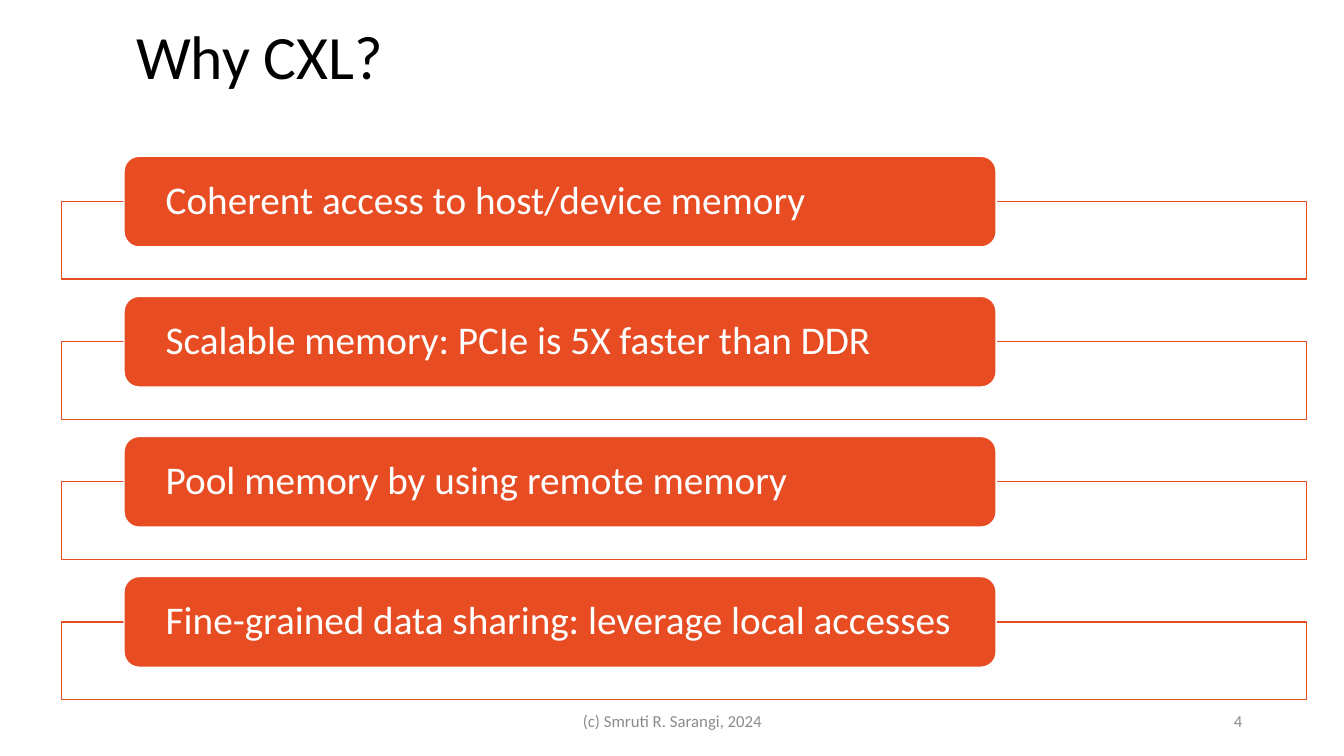
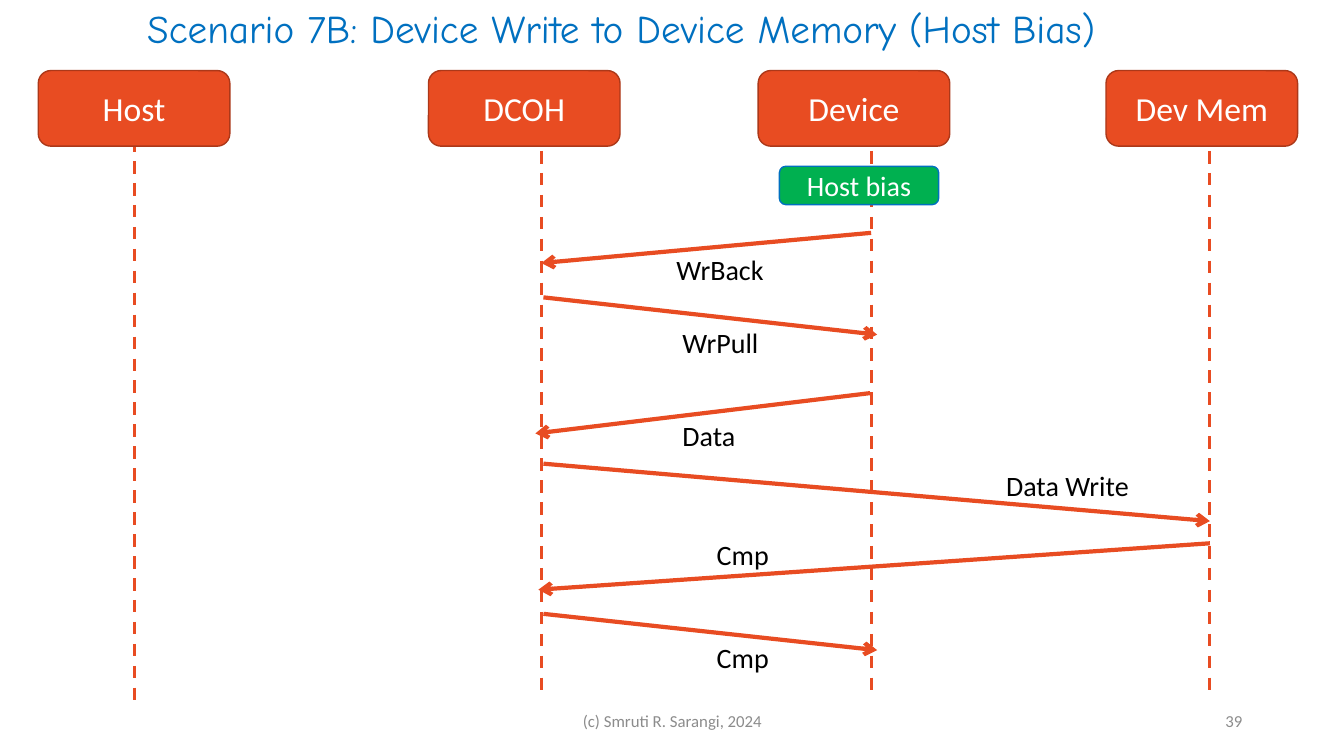
from dataclasses import dataclass

from lxml import etree
from pptx import Presentation
from pptx.dml.color import RGBColor
from pptx.enum.dml import MSO_LINE
from pptx.enum.shapes import MSO_CONNECTOR, MSO_SHAPE
from pptx.enum.text import MSO_ANCHOR, MSO_AUTO_SIZE, PP_ALIGN
from pptx.oxml.ns import qn
from pptx.util import Emu, Pt

LEFT, CENTER, RIGHT = PP_ALIGN.LEFT, PP_ALIGN.CENTER, PP_ALIGN.RIGHT
TOP, MIDDLE = MSO_ANCHOR.TOP, MSO_ANCHOR.MIDDLE
RECTANGLE, ROUNDED = MSO_SHAPE.RECTANGLE, MSO_SHAPE.ROUNDED_RECTANGLE
STRAIGHT, DASH = MSO_CONNECTOR.STRAIGHT, MSO_LINE.DASH
TITLE_ONLY = 5
EMU_PER_PX = 9144  # 100 px to the inch


@dataclass(frozen=True)
class Theme:
    font: str = "Calibri"
    scenario_font: str = "Comic Neue"
    black: str = "000000"
    white: str = "FFFFFF"
    grey: str = "8C8C8C"
    orange: str = "E84C22"
    dark_orange: str = "AC3819"
    green: str = "00B050"
    blue: str = "0070C0"
    title_size: int = 44
    large_size: int = 28
    actor_size: int = 24
    label_size: int = 20
    footer_size: int = 12
    outline: float = 1
    lifeline: float = 2.25
    arrow: float = 3


THEME = Theme()
SLIDE_SIZE = (1333, 750)
FOOTER = "(c) Smruti R. Sarangi, 2024"
FOOTER_BOX = (442, 695, 450, 40)
NUMBER_BOX = (942, 695, 300, 40)

REASONS_TITLE = "Why CXL?"
REASONS = [
    "Coherent access to host/device memory",
    "Scalable memory: PCIe is 5X faster than DDR",
    "Pool memory by using remote memory",
    "Fine-grained data sharing: leverage local accesses",
]
REASON_TOP, REASON_PITCH = 155, 139

SCENARIO_TITLE = "Scenario 7B: Device Write to Device Memory (Host Bias)"
# name, box left, lifeline x, lifeline top
ACTORS = [
    ("Host", 38, 133, 138),
    ("DCOH", 425, 537, 128),
    ("Device", 752, 864, 128),
    ("Dev Mem", 1097, 1200, 128),
]
LIFELINE_LENGTH = 557
BIAS = ("Host bias", (773, 165, 158, 38))
# label, label left, top and width, arrow start, arrow end
MESSAGES = [
    ("WrBack", (661, 246, 108), (864, 231), (537, 261)),
    ("WrPull", (667, 318, 96), (539, 295), (870, 332)),
    ("Data", (667, 410, 73), (863, 390), (531, 430)),
    ("Data Write", (988, 460, 143), (539, 460), (1200, 517)),
    ("Cmp", (701, 528, 72), (1200, 539), (534, 585)),
    ("Cmp", (701, 631, 72), (539, 609), (870, 645)),
]
LABEL_HEIGHT = 44


def px(value):
    return Emu(value * EMU_PER_PX)


def rgb(value):
    return RGBColor.from_string(value)


def write(shape, text, *, size, color, font=THEME.font, align=LEFT,
          anchor=MIDDLE, spacing=1.0, inset=10, wrap=True):
    frame = shape.text_frame
    frame.word_wrap = wrap
    frame.auto_size = MSO_AUTO_SIZE.NONE if wrap else MSO_AUTO_SIZE.SHAPE_TO_FIT_TEXT
    frame.vertical_anchor = anchor
    frame.margin_left = frame.margin_right = px(inset)
    frame.margin_top = frame.margin_bottom = px(5)
    paragraph = frame.paragraphs[0]
    paragraph.alignment = align
    paragraph.line_spacing = spacing
    run = paragraph.add_run()
    run.text = text
    run.font.name = font
    run.font.size = Pt(size)
    run.font.color.rgb = rgb(color)


def add_text(slide, text, box, **text_format):
    shape = slide.shapes.add_textbox(*map(px, box))
    write(shape, text, **text_format)


def add_box(slide, kind, box, fill, line):
    shape = slide.shapes.add_shape(kind, *map(px, box))
    shape.shadow.inherit = False
    shape.fill.solid()
    shape.fill.fore_color.rgb = rgb(fill)
    shape.line.color.rgb = rgb(line)
    shape.line.width = Pt(THEME.outline)
    return shape


def add_line(slide, start, end, width, dashed=False, arrow=False):
    connector = slide.shapes.add_connector(STRAIGHT, *map(px, start + end))
    connector.line.color.rgb = rgb(THEME.orange)
    connector.line.width = Pt(width)
    if dashed:
        connector.line.dash_style = DASH
    if arrow:
        etree.SubElement(connector.line._get_or_add_ln(), qn("a:tailEnd"), type="arrow")
    etree.SubElement(connector._element.spPr, qn("a:effectLst"))


def add_slide(presentation, title, title_box, number, **title_format):
    """Add a slide with its title, footer and slide number."""
    slide = presentation.slides.add_slide(presentation.slide_layouts[TITLE_ONLY])
    shape = slide.shapes.title
    shape.left, shape.top, shape.width, shape.height = map(px, title_box)
    write(shape, title, **title_format)
    footer_format = {"size": THEME.footer_size, "color": THEME.grey}
    add_text(slide, FOOTER, FOOTER_BOX, align=CENTER, **footer_format)
    add_text(slide, str(number), NUMBER_BOX, align=RIGHT, **footer_format)
    return slide


def build_reasons(presentation):
    slide = add_slide(presentation, REASONS_TITLE, (125, 3, 295, 113), 4,
                      size=THEME.title_size, color=THEME.black, spacing=0.9)
    for index, reason in enumerate(REASONS):
        top = REASON_TOP + index * REASON_PITCH
        add_box(slide, RECTANGLE, (61, top + 45, 1235, 77), THEME.white, THEME.orange)
        bar = add_box(slide, ROUNDED, (123, top, 865, 90), THEME.orange, THEME.white)
        write(bar, reason, size=THEME.large_size, color=THEME.white,
              spacing=0.9, inset=37)


def build_scenario(presentation):
    slide = add_slide(presentation, SCENARIO_TITLE, (136, -1, 1068, 57), 39,
                      size=THEME.large_size, color=THEME.blue,
                      font=THEME.scenario_font, anchor=TOP, wrap=False)
    for name, left, x, top in ACTORS:
        add_line(slide, (x, top), (x, top + LIFELINE_LENGTH), THEME.lifeline, dashed=True)
        actor = add_box(slide, ROUNDED, (left, 70, 190, 75), THEME.orange, THEME.dark_orange)
        write(actor, name, size=THEME.actor_size, color=THEME.white, align=CENTER)
    text, box = BIAS
    bias = add_box(slide, ROUNDED, box, THEME.green, THEME.blue)
    write(bias, text, size=THEME.label_size, color=THEME.white, align=CENTER)
    for label, place, start, end in MESSAGES:
        add_line(slide, start, end, THEME.arrow, arrow=True)
        add_text(slide, label, (*place, LABEL_HEIGHT), size=THEME.label_size,
                 color=THEME.black, anchor=TOP, wrap=False)


def main():
    presentation = Presentation()
    presentation.slide_width, presentation.slide_height = map(px, SLIDE_SIZE)
    build_reasons(presentation)
    build_scenario(presentation)
    presentation.save("out.pptx")


if __name__ == "__main__":
    main()
